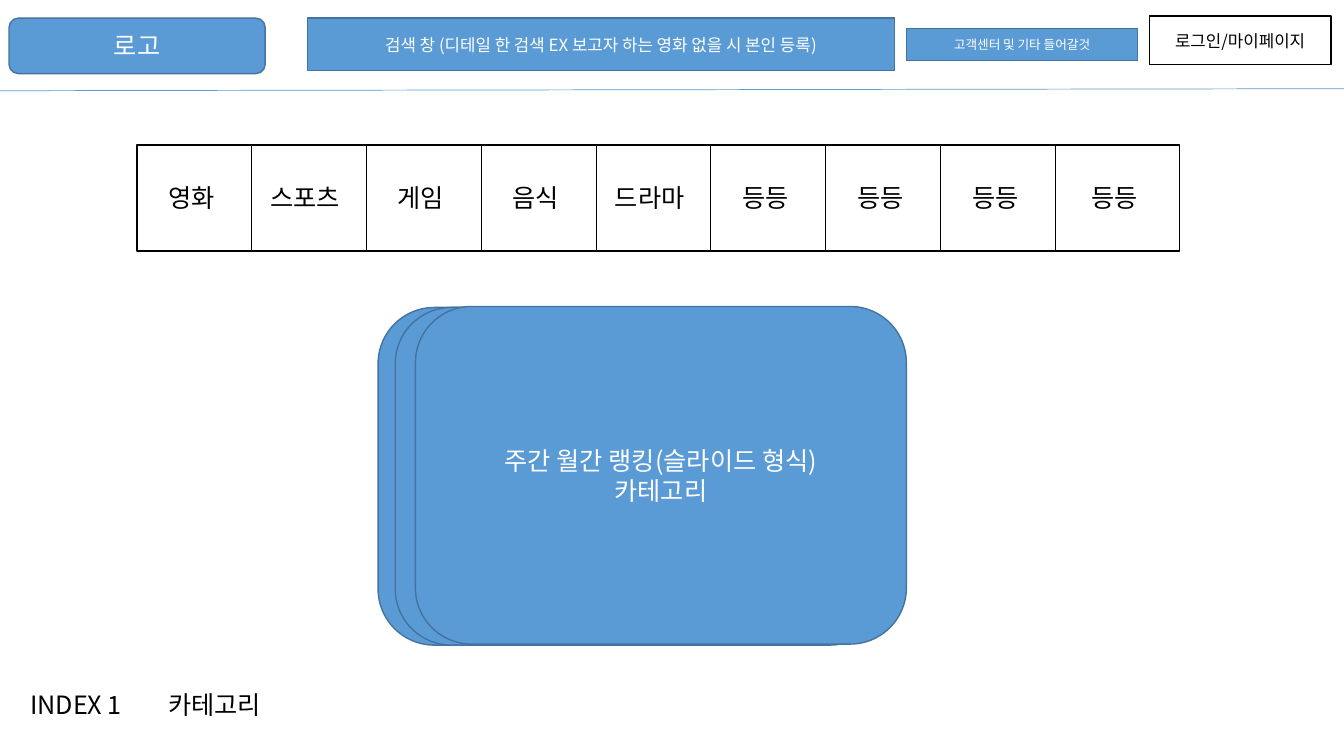
import pptx
import pptx.dml.color
import pptx.enum.shapes
import pptx.enum.text
import pptx.oxml.ns
import pptx.util
from lxml import etree

Inches = pptx.util.Inches
Pt = pptx.util.Pt
SHAPE = pptx.enum.shapes.MSO_SHAPE
ALIGN = pptx.enum.text.PP_ALIGN
qn = pptx.oxml.ns.qn

FONT = "Noto Sans CJK KR"
COLORS = {"blue": "5B9BD5", "edge": "43739E", "black": "000000", "white": "FFFFFF"}
CATEGORIES = ["영화", "스포츠", "게임", "음식", "드라마", "등등", "등등", "등등", "등등"]


def rgb(name):
    return pptx.dml.color.RGBColor.from_string(COLORS[name])


def write(tf, lines, size, color, align):
    tf.text = "\n".join(lines)
    for p in tf.paragraphs:
        p.alignment = align
        p.font.size = Pt(size)
        p.font.color.rgb = rgb(color)
        p.font.name = FONT
        latin = p.font._element.find(qn("a:latin"))
        ea = etree.Element(qn("a:ea"), typeface=FONT)
        latin.addnext(ea)


def add_box(s, kind, box, lines=(), size=18, filled=True):
    sp = s.shapes.add_shape(kind, *map(Inches, box))
    sp.shadow.inherit = False
    if filled:
        sp.fill.solid()
        sp.fill.fore_color.rgb = rgb("blue")
    else:
        sp.fill.background()
    sp.line.color.rgb = rgb("edge" if filled else "black")
    sp.line.width = Pt(1)
    if lines:
        write(sp.text_frame, lines, size, "white" if filled else "black", ALIGN.CENTER)


def add_line(s, x1, y1, x2, y2, color):
    line = s.shapes.add_connector(
        pptx.enum.shapes.MSO_CONNECTOR.STRAIGHT, *map(Inches, (x1, y1, x2, y2)))
    line.line.color.rgb = rgb(color)
    line.line.width = Pt(0.5)
    etree.SubElement(line._element.spPr, qn("a:effectLst"))


def add_label(s, left, top, width, text):
    sp = s.shapes.add_textbox(*map(Inches, (left, top, width, 0.4)))
    tf = sp.text_frame
    tf.word_wrap = False
    tf.auto_size = pptx.enum.text.MSO_AUTO_SIZE.SHAPE_TO_FIT_TEXT
    write(tf, [text], 18, "black", ALIGN.LEFT)


def add_header(s):
    add_box(s, SHAPE.RECTANGLE, (11.4, 0.16, 1.8, 0.48), ["로그인/마이페이지"], 12, filled=False)
    add_box(s, SHAPE.RECTANGLE, (3.05, 0.18, 5.82, 0.52),
            ["검색 창 (디테일 한 검색 EX 보고자 하는 영화 없을 시 본인 등록)"], 12)
    add_line(s, 0, 0.9, 13.33, 0.88, "blue")
    add_box(s, SHAPE.ROUNDED_RECTANGLE, (0.09, 0.18, 2.54, 0.55), ["로고"])
    add_box(s, SHAPE.RECTANGLE, (8.99, 0.28, 2.29, 0.32), ["고객센터 및 기타 들어갈것"], 9)


def add_category_bar(s):
    left, top, width, height = 1.36, 1.44, 10.34, 1.05
    add_box(s, SHAPE.RECTANGLE, (left, top, width, height), filled=False)
    dividers = [2.49 + 1.14 * i for i in range(len(CATEGORIES) - 1)]
    for x in dividers:
        add_line(s, x, top, x, top + height, "black")
    edges = [left, *dividers, left + width]
    for text, start, end in zip(CATEGORIES, edges, edges[1:]):
        label_width = 0.21 + 0.25 * len(text)
        add_label(s, (start + end - label_width) / 2, 1.76, label_width, text)


def add_ranking_cards(s):
    ranking = ["주간 월간 랭킹(슬라이드 형식)", "카테고리"]
    for left, top, lines in [(3.75, 3.05, ()), (3.92, 3.05, ()), (4.12, 3.04, ranking)]:
        add_box(s, SHAPE.ROUNDED_RECTANGLE, (left, top, 4.87, 3.35), lines)


def main():
    prs = pptx.Presentation()
    prs.slide_width = Inches(13.33)
    prs.slide_height = Inches(7.5)
    s = prs.slides.add_slide(prs.slide_layouts[6])
    add_header(s)
    add_category_bar(s)
    add_label(s, 0.2, 6.79, 1.15, "INDEX 1")
    add_ranking_cards(s)
    add_label(s, 1.57, 6.79, 1.21, "카테고리")
    prs.save("out.pptx")


if __name__ == "__main__":
    main()
